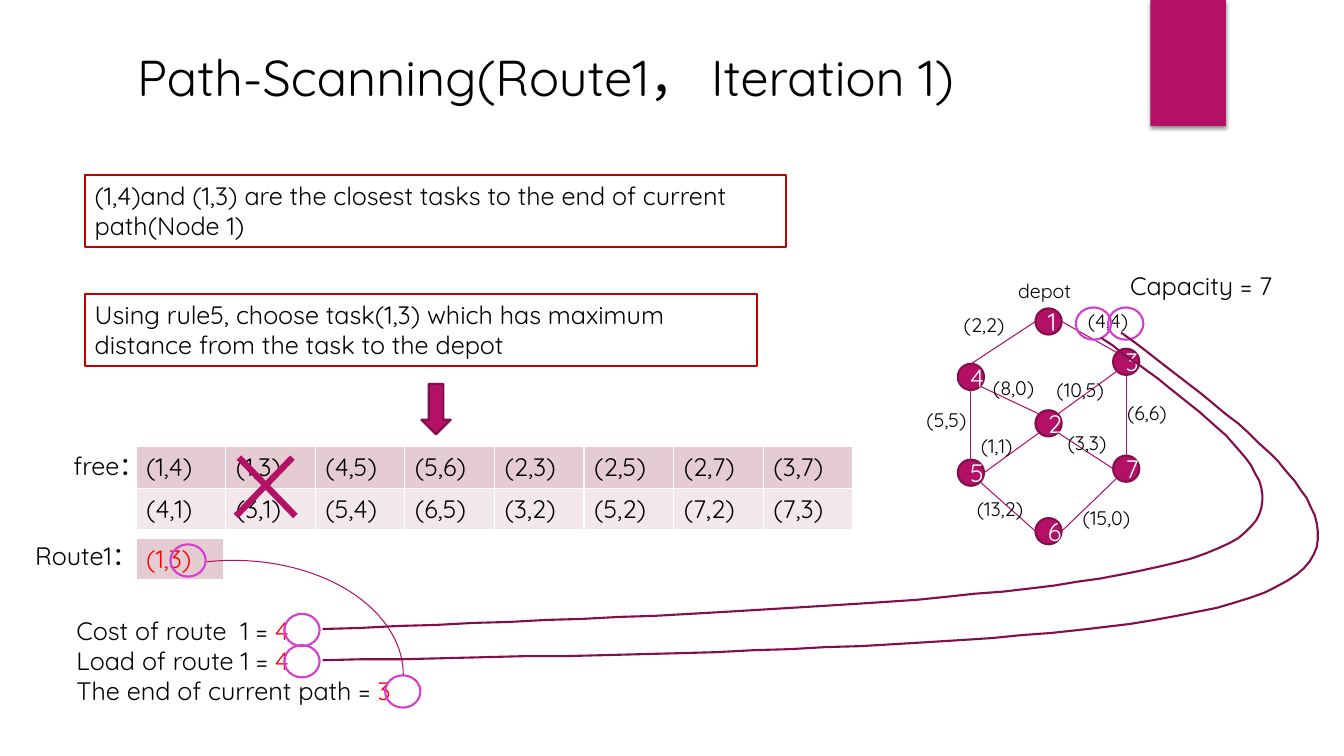
import math

import pptx
import pptx.dml.color
import pptx.enum.shapes
import pptx.enum.text
import pptx.oxml
import pptx.util

PX = 9144  # EMU, 100 px to the inch
FONT = "Quicksand"
BLACK, WHITE, RED = "000000", "FFFFFF", "FF0000"
ACCENT, DARK, RING, FRAME = "B31166", "840D4B", "D53DD0", "C00000"
ROW_FILLS = ("E5CCD3", "F2E7EA")
SHAPE = pptx.enum.shapes.MSO_SHAPE
ALIGN = pptx.enum.text.PP_ALIGN
ANCHOR = pptx.enum.text.MSO_ANCHOR
GROW = pptx.enum.text.MSO_AUTO_SIZE.SHAPE_TO_FIT_TEXT
DRAWING_NS = 'xmlns:a="http://schemas.openxmlformats.org/drawingml/2006/main"'
TAB_SHADOW = (f'<a:effectLst {DRAWING_NS}><a:outerShdw blurRad="38100" dist="25400" dir="5400000" '
              'rotWithShape="0"><a:srgbClr val="000000"><a:alpha val="45000"/></a:srgbClr>'
              '</a:outerShdw></a:effectLst>')


def colour(hex_value):
    return pptx.dml.color.RGBColor.from_string(hex_value)


def px(*lengths):
    return [pptx.util.Emu(round(length * PX)) for length in lengths]


def set_format(target, values):
    for name, value in values.items():
        setattr(target, name, value)


class SlideBuilder:
    def __init__(self, slide):
        self.slide = slide
        self.shapes = slide.shapes

    def fill_text(self, text_frame, lines, size=18, hue=BLACK, align=ALIGN.LEFT, **frame_format):
        """Fill a text frame; a line is a string or a list of (text, hue) runs."""
        set_format(text_frame, frame_format)
        for index, line in enumerate(lines):
            paragraph = text_frame.add_paragraph() if index else text_frame.paragraphs[0]
            paragraph.alignment = align
            for text, run_hue in [(line, hue)] if isinstance(line, str) else line:
                run = paragraph.add_run()
                run.text = text
                set_format(run.font, {"name": FONT, "size": pptx.util.Pt(size), "bold": False})
                run.font.color.rgb = colour(run_hue)

    def title(self, text, box):
        title = self.shapes.title
        set_format(title, dict(zip(("left", "top", "width", "height"), px(*box))))
        self.fill_text(title.text_frame, [text], size=36, vertical_anchor=ANCHOR.MIDDLE)

    def text(self, lines, box, size=18, wrap=False):
        text_box = self.shapes.add_textbox(*px(*box))
        self.fill_text(text_box.text_frame, lines, size, word_wrap=wrap, auto_size=GROW)

    def stroke(self, item, hue, width):
        item.line.color.rgb = colour(hue)
        item.line.width = pptx.util.Pt(width)

    def paint(self, shape, fill, line, width):
        shape.shadow.inherit = False
        if fill:
            shape.fill.solid()
            shape.fill.fore_color.rgb = colour(fill)
        else:
            shape.fill.background()
        if line:
            self.stroke(shape, line, width)
        else:
            shape.line.fill.background()
        return shape

    def shape(self, kind, box, fill=None, line=None, width=1.5):
        return self.paint(self.shapes.add_shape(kind, *px(*box)), fill, line, width)

    def line(self, start, end, width=0.75):
        connector = self.shapes.add_connector(
            pptx.enum.shapes.MSO_CONNECTOR.STRAIGHT, *px(*start, *end))
        self.stroke(connector, ACCENT, width)
        connector._element.spPr.append(pptx.oxml.parse_xml(f"<a:effectLst {DRAWING_NS}/>"))

    def curve(self, points, steps=30):
        """Draw cubic Bezier pieces that share their end points."""
        dots = []
        for first in range(0, len(points) - 1, 3):
            piece = points[first:first + 4]
            for step in range(1, steps + 1):
                t = step / steps
                weights = [math.comb(3, k) * t ** k * (1 - t) ** (3 - k) for k in range(4)]
                dots.append([sum(w * point[axis] for w, point in zip(weights, piece))
                             for axis in (0, 1)])
        builder = self.shapes.build_freeform(*points[0], scale=PX)
        builder.add_line_segments(dots, close=False)
        self.paint(builder.convert_to_shape(), None, DARK, 1.5)

    def table(self, rows, box, hue=BLACK):
        table = self.shapes.add_table(len(rows), len(rows[0]), *px(*box)).table
        set_format(table, {"first_row": False, "horz_banding": False})
        for row_index, (row, fill) in enumerate(zip(rows, ROW_FILLS)):
            for column_index, text in enumerate(row):
                cell = table.cell(row_index, column_index)
                cell.fill.solid()
                cell.fill.fore_color.rgb = colour(fill)
                self.fill_text(cell.text_frame, [text], hue=hue)

    def graph(self, centres, edges, labels):
        """Draw nodes, edges between compass points of nodes, and edge labels."""
        radius = 13
        for name, (x, y) in centres.items():
            node = self.shape(SHAPE.OVAL, (x - radius, y - radius, 2 * radius, 2 * radius),
                              ACCENT, DARK)
            self.fill_text(node.text_frame, [name], hue=WHITE, align=ALIGN.CENTER,
                           vertical_anchor=ANCHOR.MIDDLE)
        compass = ("E", "SE", "S", "SW", "W", "NW", "N", "NE")

        def rim(name, side):
            angle = compass.index(side) * math.pi / 4
            x, y = centres[name]
            return x + radius * math.cos(angle), y + radius * math.sin(angle)

        for start, start_side, end, end_side in edges:
            self.line(rim(start, start_side), rim(end, end_side))
        for text, (x, y) in labels.items():
            self.text([text], (x, y, 62 if len(text) == 5 else 73, 34), size=14)


CENTRES = {"1": (1040, 319), "3": (1117, 359), "2": (1040, 420), "4": (963, 374),
           "5": (963, 469), "6": (1040, 527), "7": (1117, 465)}
EDGES = [("1", "W", "4", "N"), ("1", "E", "3", "NW"), ("4", "S", "5", "N"),
         ("3", "S", "7", "N"), ("5", "SE", "6", "W"), ("7", "SW", "6", "E"),
         ("4", "SE", "2", "NW"), ("3", "SW", "2", "NE"), ("2", "SW", "5", "E"),
         ("2", "SE", "7", "W")]
LABELS = {"(2,2)": (946, 306), "(4,4)": (1069, 302), "(5,5)": (909, 400),
          "(6,6)": (1108, 393), "(8,0)": (975, 368), "(10,5)": (1038, 370),
          "(1,1)": (963, 426), "(13,2)": (959, 488), "(15,0)": (1064, 497),
          "(3,3)": (1049, 423)}
FREE_TASKS = [(1, 4), (1, 3), (4, 5), (5, 6), (2, 3), (2, 5), (2, 7), (3, 7)]
RULES = [("(1,4)and (1,3) are the closest tasks to the end of current path(Node 1)",
          (84, 174, 696, 71)),
         ("Using rule5, choose task(1,3) which has maximum distance from the task to the depot",
          (84, 292, 667, 71))]
RESULTS = [("Cost of route  1 = ", "4"), ("Load of route 1 = ", "4"),
           ("The end of current path = ", "3")]
RINGS = [(382, 670), (169, 540), (282, 609), (282, 640), (1099, 305), (1067, 305)]
COST_CURVE = [(320, 624), (693, 610), (1067, 597), (1196, 549),
              (1325, 501), (1208, 418), (1092, 335)]
LOAD_CURVE = [(320, 655), (721, 648), (1122, 642), (1254, 588),
              (1386, 533), (1249, 432), (1112, 330)]


def main():
    presentation = pptx.Presentation()
    set_format(presentation, dict(zip(("slide_width", "slide_height"), px(1333, 750))))
    page = SlideBuilder(presentation.slides.add_slide(presentation.slide_layouts[5]))

    corner_tab = page.shape(SHAPE.RECTANGLE, (1141, 0, 75, 125), ACCENT)
    properties = corner_tab._element.spPr
    properties.replace(properties[-1], pptx.oxml.parse_xml(TAB_SHADOW))
    page.title("Path-Scanning(Route1， Iteration 1)", (126, 37, 958, 77))

    page.table([[f"({a},{b})" for a, b in FREE_TASKS], [f"({b},{a})" for a, b in FREE_TASKS]],
               (135, 443, 711, 81))
    page.text(["free："], (63, 442, 94, 40))
    page.text(["Route1："], (25, 531, 138, 40), wrap=True)

    page.graph(CENTRES, EDGES, LABELS)
    page.text(["depot"], (1000, 272, 79, 34), size=14)
    page.text(["Capacity = 7"], (1111, 263, 179, 40))

    for rule, box in RULES:
        frame = page.shape(SHAPE.RECTANGLE, box, line=FRAME)
        page.fill_text(frame.text_frame, [rule], vertical_anchor=ANCHOR.TOP,
                       word_wrap=True, auto_size=GROW)
    page.line((237, 454), (293, 512), width=4.5)
    page.line((290, 454), (234, 512), width=4.5)
    page.table([["(1,3)"]], (135, 534, 87, 41), hue=RED)
    page.shape(SHAPE.DOWN_ARROW, (418, 381, 29, 50), ACCENT, DARK)
    page.text([[(label, BLACK), (value, RED)] for label, value in RESULTS], (66, 605, 353, 131))

    for x, y in RINGS:
        page.shape(SHAPE.OVAL, (x, y, 35, 32), line=RING)
    path_end_arc = page.shape(SHAPE.ARC, (63, 556, 337, 227), line=ACCENT, width=0.75)
    path_end_arc.adjustments[0] = 154.118
    path_end_arc.adjustments[1] = 0
    page.curve(COST_CURVE)
    page.curve(LOAD_CURVE)

    presentation.save("out.pptx")


if __name__ == "__main__":
    main()
